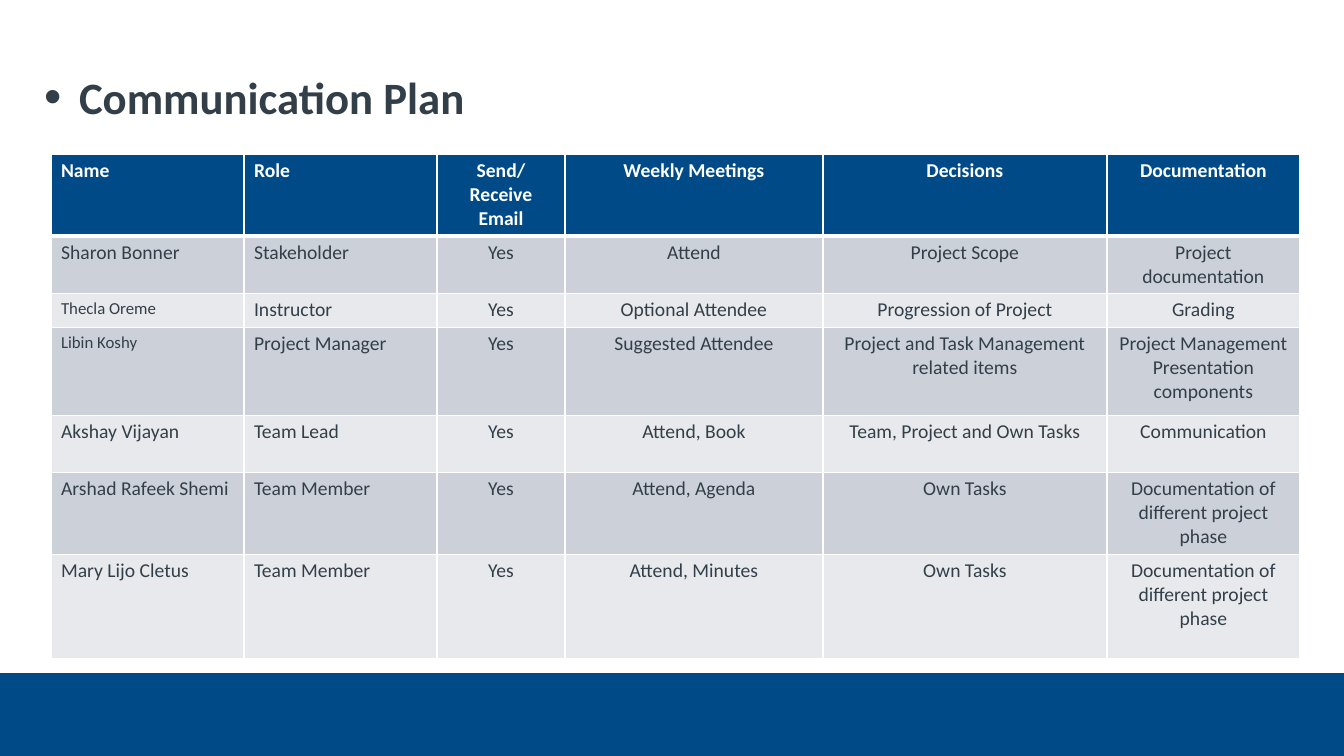
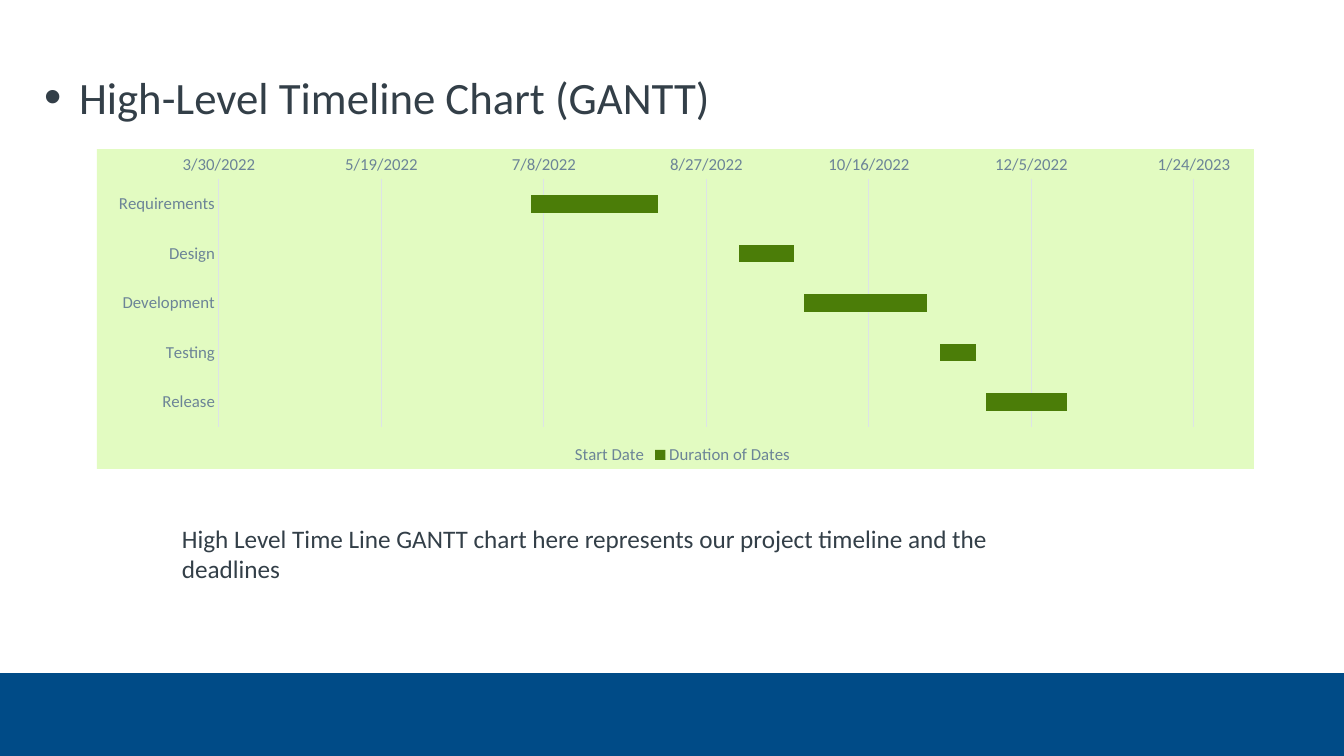
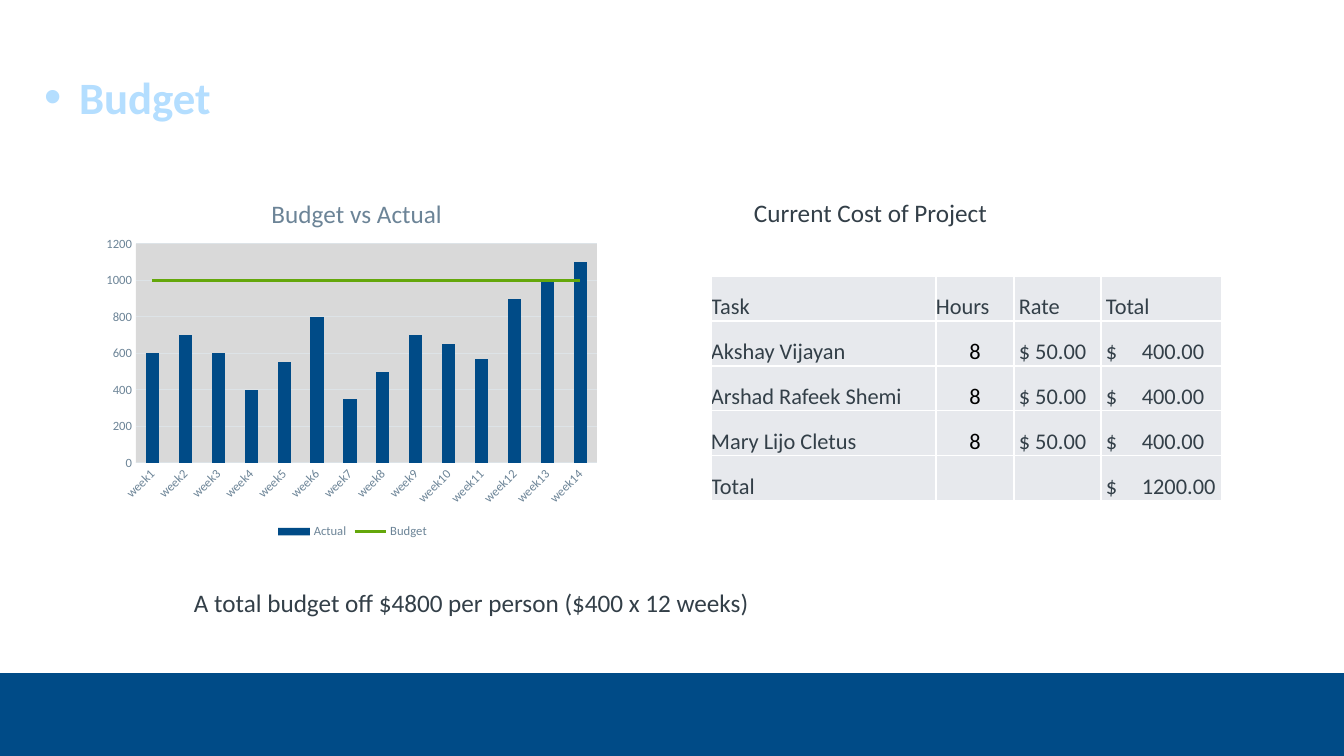
from dataclasses import dataclass
from typing import Optional

from pptx import Presentation, util as u
from pptx.chart import data as chart_data
from pptx.dml.color import RGBColor
from pptx.enum import chart as charts, shapes, text
from pptx.oxml import parse_xml
from pptx.oxml.ns import nsdecls, qn

SLIDE_WIDTH, SLIDE_HEIGHT = 1344, 756
EMU_PER_PX = u.Inches(1) / 100.8
FONT = "Calibri"

WHITE = RGBColor(0xFF, 0xFF, 0xFF)
BLACK = RGBColor(0x00, 0x00, 0x00)
NAVY = RGBColor(0x00, 0x4B, 0x87)
SLATE = RGBColor(0x33, 0x3F, 0x48)
SKY = RGBColor(0xB4, 0xDE, 0xFF)
AXIS_TEXT = RGBColor(0x6C, 0x84, 0x97)
GRID = RGBColor(0xDD, 0xE3, 0xE7)
ROW_DARK = RGBColor(0xCC, 0xD0, 0xD9)
ROW_LIGHT = RGBColor(0xE7, 0xE9, 0xED)
PALE_GREEN = RGBColor(0xE2, 0xFB, 0xC1)
DARK_GREEN = RGBColor(0x4B, 0x7D, 0x08)
GREEN = RGBColor(0x64, 0xA7, 0x0B)
PLOT_GREY = RGBColor(0xD9, 0xD9, 0xD9)

LEFT, CENTER = text.PP_ALIGN.LEFT, text.PP_ALIGN.CENTER


@dataclass(frozen=True)
class Box:
    left: int
    top: int
    width: int
    height: int

    def emu(self) -> tuple:
        return px(self.left), px(self.top), px(self.width), px(self.height)


@dataclass(frozen=True)
class Font:
    size: int
    color: RGBColor = SLATE
    bold: bool = False


@dataclass(frozen=True)
class Cell:
    text: str
    font: Font
    fill: RGBColor
    align: text.PP_ALIGN = LEFT
    inset: Optional[int] = None  # left inset of a cell without other margins
    tab: Optional[int] = None
    top_line: int = 1
    bottom_line: int = 1


@dataclass(frozen=True)
class ValueScale:
    minimum: int
    maximum: int
    step: int
    number_format: str = "General"


CHART_TITLE = Font(18, AXIS_TEXT)
BODY = Font(18)
TABLE_HEAD = Font(14, WHITE, True)
TABLE_TEXT = Font(14)
TABLE_SMALL = Font(12)
COST_TEXT = Font(16)

PLAN_BOX = Box(51, 154, 1249, 505)
PLAN_WIDTHS = (193, 193, 128, 258, 284, 193)
PLAN_HEIGHTS = (82, 57, 34, 88, 57, 82, 105)
PLAN_ROWS = (
    ("Name", "Role", "Send/Receive Email", "Weekly Meetings", "Decisions", "Documentation"),
    ("Sharon Bonner", "Stakeholder", "Yes", "Attend", "Project Scope",
     "Project documentation"),
    ("Thecla Oreme", "Instructor", "Yes", "Optional Attendee", "Progression of Project",
     "Grading"),
    ("Libin Koshy", "Project Manager", "Yes", "Suggested Attendee",
     "Project and Task Management related items",
     "Project Management Presentation components"),
    ("Akshay Vijayan", "Team Lead", "Yes", "Attend, Book", "Team, Project and Own Tasks",
     "Communication"),
    ("Arshad Rafeek Shemi", "Team Member", "Yes", "Attend, Agenda", "Own Tasks",
     "Documentation of different project phase"),
    ("Mary Lijo Cletus", "Team Member", "Yes", "Attend, Minutes", "Own Tasks",
     "Documentation of different project phase"),
)
SMALL_NAMES = ("Thecla Oreme", "Libin Koshy")

PHASES = ("Requirements", "Design", "Development", "Testing", "Release")
PHASE_STARTS = (44746, 44810, 44830, 44872, 44886)
PHASE_DAYS = (39, 17, 38, 11, 25)

WEEKLY_ACTUAL = (600, 700, 600, 400, 550, 800, 350, 500, 700, 650, 570, 900, 1000, 1100)
WEEKLY_BUDGET = 1000

COST_BOX = Box(711, 276, 511, 225)
COST_WIDTHS = (225, 78, 87, 121)
COST_INSETS = (0, 0, 5, 5)
COST_WORKERS = ("Akshay Vijayan", "Arshad Rafeek Shemi", "Mary Lijo Cletus")
COST_ROWS = (
    ("Task", "Hours", "Rate", "Total"),
    *((worker, "8", "$ 50.00", "$\t400.00") for worker in COST_WORKERS),
    ("Total", "", "", "$\t1200.00"),
)


def px(length: float) -> int:
    return round(length * EMU_PER_PX)


def style_font(target, font: Font) -> None:
    target.name = FONT
    target.size = u.Pt(font.size)
    target.bold = font.bold
    target.color.rgb = font.color


def style_runs(paragraph, font: Font) -> None:
    for run in paragraph.runs:
        style_font(run.font, font)


def add_text(slide, box: Box, content: str, font: Font, wrap: bool = True):
    shape = slide.shapes.add_textbox(*box.emu())
    frame = shape.text_frame
    frame.word_wrap = wrap
    frame.text = content
    style_runs(frame.paragraphs[0], font)
    return frame


def add_title(slide, content: str, font: Font) -> None:
    frame = add_text(slide, Box(44, 65, 1209, 63), content, font)
    frame.margin_left = frame.margin_top = frame.margin_right = frame.margin_bottom = 0
    frame.vertical_anchor = text.MSO_ANCHOR.MIDDLE
    properties = frame.paragraphs[0]._p.get_or_add_pPr()
    properties.set("marL", str(px(35)))
    properties.set("indent", str(-px(35)))
    properties.append(parse_xml(f'<a:buSzPct {nsdecls("a")} val="110000"/>'))
    properties.append(parse_xml(f'<a:buFont {nsdecls("a")} typeface="Arial"/>'))
    properties.append(parse_xml(f'<a:buChar {nsdecls("a")} char="•"/>'))


def add_slide(presentation, title: str, font: Font):
    """Add a blank slide with the shared bottom band and bulleted title."""
    slide = presentation.slides.add_slide(presentation.slide_layouts[6])
    band = slide.shapes.add_shape(
        shapes.MSO_SHAPE.RECTANGLE, *Box(0, 673, SLIDE_WIDTH, SLIDE_HEIGHT - 673).emu())
    band.shadow.inherit = False
    band.fill.solid()
    band.fill.fore_color.rgb = NAVY
    band.line.fill.background()
    add_title(slide, title, font)
    return slide


def draw_cell(target, cell: Cell) -> None:
    target.fill.solid()
    target.fill.fore_color.rgb = cell.fill
    target.text = cell.text
    paragraph = target.text_frame.paragraphs[0]
    paragraph.alignment = cell.align
    style_runs(paragraph, cell.font)
    if cell.inset is not None:
        target.margin_top = target.margin_right = target.margin_bottom = 0
        target.margin_left = px(cell.inset)
        target.vertical_anchor = text.MSO_ANCHOR.BOTTOM
    if cell.tab is not None:
        paragraph._p.get_or_add_pPr().append(parse_xml(
            f'<a:tabLst {nsdecls("a")}><a:tab pos="{px(cell.tab)}" algn="l"/></a:tabLst>'))
    borders = (("lnL", 1), ("lnR", 1), ("lnT", cell.top_line), ("lnB", cell.bottom_line))
    for position, (side, points) in enumerate(borders):
        target._tc.get_or_add_tcPr().insert(position, parse_xml(
            f'<a:{side} {nsdecls("a")} w="{u.Pt(points)}"><a:solidFill>'
            f'<a:srgbClr val="{WHITE}"/></a:solidFill></a:{side}>'))


def add_table(slide, box: Box, widths: tuple, heights: tuple, rows: list) -> None:
    table = slide.shapes.add_table(len(heights), len(widths), *box.emu()).table
    table.first_row = table.horz_banding = False
    for column, width in zip(table.columns, widths):
        column.width = px(width)
    for row, height, cells in zip(table.rows, heights, rows):
        row.height = px(height)
        for target, cell in zip(row.cells, cells):
            draw_cell(target, cell)


def plan_cell(row: int, column: int, content: str) -> Cell:
    align = LEFT if column < 2 else CENTER
    if row == 0:
        return Cell(content, TABLE_HEAD, NAVY, align, bottom_line=3)
    font = TABLE_SMALL if content in SMALL_NAMES else TABLE_TEXT
    fill = ROW_DARK if row % 2 else ROW_LIGHT
    return Cell(content, font, fill, align, top_line=3 if row == 1 else 1)


def cost_cell(column: int, content: str) -> Cell:
    is_hours = content.isdigit()
    return Cell(content, Font(16, BLACK) if is_hours else COST_TEXT, ROW_LIGHT,
                CENTER if is_hours else LEFT, COST_INSETS[column],
                tab=36 if "\t" in content else None)


def set_layout(element, index: int, outer: Box, inner: Box, is_plot: bool) -> None:
    """Place a chart part at inner, given as slide px, within the chart at outer."""
    for layout in element.findall(qn("c:layout")):
        element.remove(layout)
    settings = [("xMode", "edge"), ("yMode", "edge"),
                ("x", (inner.left - outer.left) / outer.width),
                ("y", (inner.top - outer.top) / outer.height)]
    if is_plot:
        settings = [("layoutTarget", "inner"), *settings,
                    ("w", inner.width / outer.width), ("h", inner.height / outer.height)]
    children = "".join(f'<c:{name} val="{value}"/>' for name, value in settings)
    element.insert(index, parse_xml(
        f'<c:layout {nsdecls("c")}><c:manualLayout>{children}</c:manualLayout></c:layout>'))


def area_fill(color: Optional[RGBColor]):
    fill = (f'<a:solidFill><a:srgbClr val="{color}"/></a:solidFill>' if color
            else "<a:noFill/>")
    return parse_xml(f'<c:spPr {nsdecls("c", "a")}>{fill}<a:ln><a:noFill/></a:ln></c:spPr>')


def add_bar_chart(slide, kind, box: Box, plot_box: Box, categories: tuple, series: dict,
                  font: Font, scale: ValueScale, gap: int,
                  fill: Optional[RGBColor] = None, plot_fill: Optional[RGBColor] = None):
    source = chart_data.CategoryChartData()
    source.categories = categories
    for name, values in series.items():
        source.add_series(name, values)
    chart = slide.shapes.add_chart(kind, *box.emu(), source).chart
    chart.has_title = False
    style_font(chart.font, font)
    chart.has_legend = True
    chart.legend.position = charts.XL_LEGEND_POSITION.BOTTOM
    chart.legend.include_in_layout = False
    style_font(chart.legend.font, font)

    plot = chart.plots[0]
    plot.vary_by_categories = False
    plot.gap_width = gap
    category_axis, value_axis = chart.category_axis, chart.value_axis
    for axis in (category_axis, value_axis):
        axis.major_tick_mark = axis.minor_tick_mark = charts.XL_TICK_MARK.NONE
        style_font(axis.tick_labels.font, font)
    value_axis.has_major_gridlines = True
    for line in (category_axis.format.line, value_axis.major_gridlines.format.line):
        line.color.rgb = GRID
        line.width = u.Pt(0.75)
    value_axis.format.line.fill.background()
    value_axis.minimum_scale, value_axis.maximum_scale = scale.minimum, scale.maximum
    value_axis.major_unit = scale.step
    value_axis.tick_labels.number_format = scale.number_format
    value_axis.tick_labels.number_format_is_linked = False

    chart_element = chart._chartSpace.find(qn("c:chart"))
    chart_element.addnext(area_fill(fill))
    plot_area = chart_element.find(qn("c:plotArea"))
    plot_area.append(area_fill(plot_fill))
    set_layout(plot_area, 0, box, plot_box, True)
    return chart


def fill_series(series, color: RGBColor) -> None:
    series.format.fill.solid()
    series.format.fill.fore_color.rgb = color


def move_last_series_to_line(chart, color: RGBColor) -> None:
    bars = chart.plots[0]._element
    series = bars.findall(qn("c:ser"))[-1]
    for child in series.findall(qn("c:invertIfNegative")):
        series.remove(child)
    axes = "".join(f'<c:axId val="{axis.get("val")}"/>' for axis in bars.findall(qn("c:axId")))
    line_chart = parse_xml(
        f'<c:lineChart {nsdecls("c")}><c:grouping val="standard"/><c:varyColors val="0"/>'
        f'<c:marker val="1"/>{axes}</c:lineChart>')
    line_chart.insert(2, series)
    bars.addnext(line_chart)
    line = chart.plots[1].series[0]
    line.smooth = False
    line.marker.style = charts.XL_MARKER_STYLE.NONE
    line.format.line.color.rgb = color
    line.format.line.width = u.Pt(2.25)


def add_chart_title(chart, content: str, box: Box, title_box: Box) -> None:
    chart.has_title = True
    title = chart.chart_title
    title.text_frame.text = content
    style_runs(title.text_frame.paragraphs[0], CHART_TITLE)
    title.include_in_layout = False
    set_layout(title._element, 1, box, title_box, False)


def build_communication_slide(presentation) -> None:
    slide = add_slide(presentation, "Communication Plan", Font(32, SLATE, True))
    rows = [[plan_cell(row, column, content) for column, content in enumerate(contents)]
            for row, contents in enumerate(PLAN_ROWS)]
    add_table(slide, PLAN_BOX, PLAN_WIDTHS, PLAN_HEIGHTS, rows)


def build_timeline_slide(presentation) -> None:
    slide = add_slide(presentation, "High-Level Timeline Chart (GANTT)", Font(32))
    chart = add_bar_chart(
        slide, charts.XL_CHART_TYPE.BAR_STACKED, Box(97, 149, 1157, 320),
        Box(219, 179, 975, 248), PHASES,
        {"Start Date": PHASE_STARTS, "Duration of Dates": PHASE_DAYS},
        Font(12, AXIS_TEXT), ValueScale(44650, 44950, 50, "m/d/yyyy"), 182, PALE_GREEN)
    chart.category_axis.reverse_order = True
    chart.plots[0].overlap = 100
    starts, durations = chart.plots[0].series
    starts.format.fill.background()
    fill_series(durations, DARK_GREEN)
    add_text(slide, Box(172, 518, 927, 40),
             "High Level Time Line GANTT chart here represents our project timeline "
             "and the deadlines", BODY)


def build_budget_slide(presentation) -> None:
    slide = add_slide(presentation, "Budget", Font(32, SKY, True))
    add_text(slide, Box(744, 192, 444, 40), "Current Cost of Project", BODY)
    rows = [[cost_cell(column, content) for column, content in enumerate(contents)]
            for contents in COST_ROWS]
    add_table(slide, COST_BOX, COST_WIDTHS, (45,) * len(rows), rows)

    box = Box(97, 171, 511, 372)
    weeks = tuple(f"week{number}" for number in range(1, len(WEEKLY_ACTUAL) + 1))
    chart = add_bar_chart(
        slide, charts.XL_CHART_TYPE.COLUMN_CLUSTERED, box, Box(136, 244, 461, 219), weeks,
        {"Actual": WEEKLY_ACTUAL, "Budget": (WEEKLY_BUDGET,) * len(weeks)},
        Font(9, AXIS_TEXT), ValueScale(0, 1200, 200), 150, plot_fill=PLOT_GREY)
    fill_series(chart.plots[0].series[0], NAVY)
    move_last_series_to_line(chart, GREEN)
    add_chart_title(chart, "Budget vs Actual", box, Box(267, 192, 170, 30))
    label_body = chart.category_axis._element.find(qn("c:txPr")).find(qn("a:bodyPr"))
    label_body.set("rot", str(-45 * 60000))
    add_text(slide, Box(184, 582, 583, 40),
             "A total budget off $4800 per person ($400 x 12 weeks)", BODY, wrap=False)


def main() -> None:
    presentation = Presentation()
    presentation.slide_width = px(SLIDE_WIDTH)
    presentation.slide_height = px(SLIDE_HEIGHT)
    build_communication_slide(presentation)
    build_timeline_slide(presentation)
    build_budget_slide(presentation)
    presentation.save("out.pptx")


if __name__ == "__main__":
    main()
